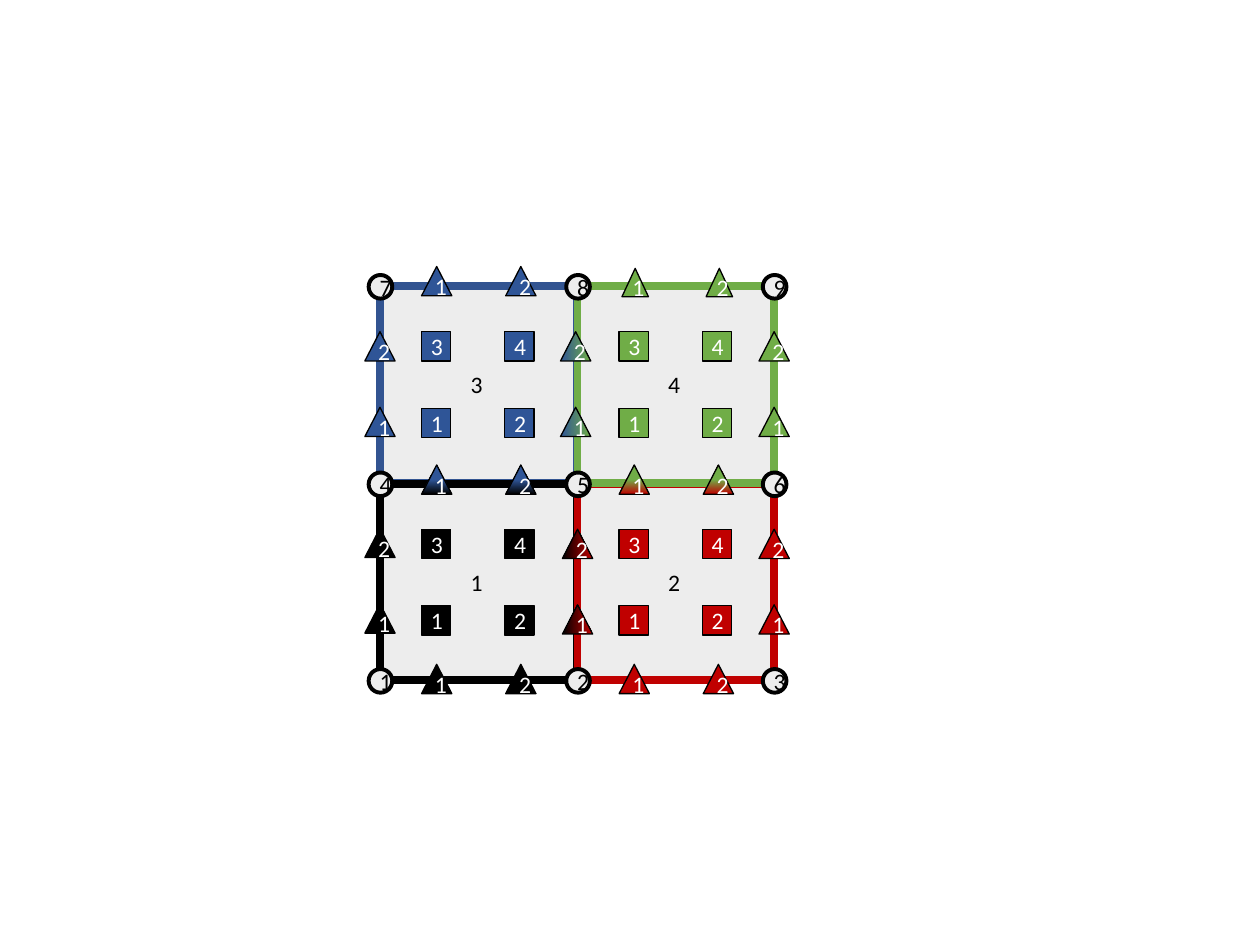
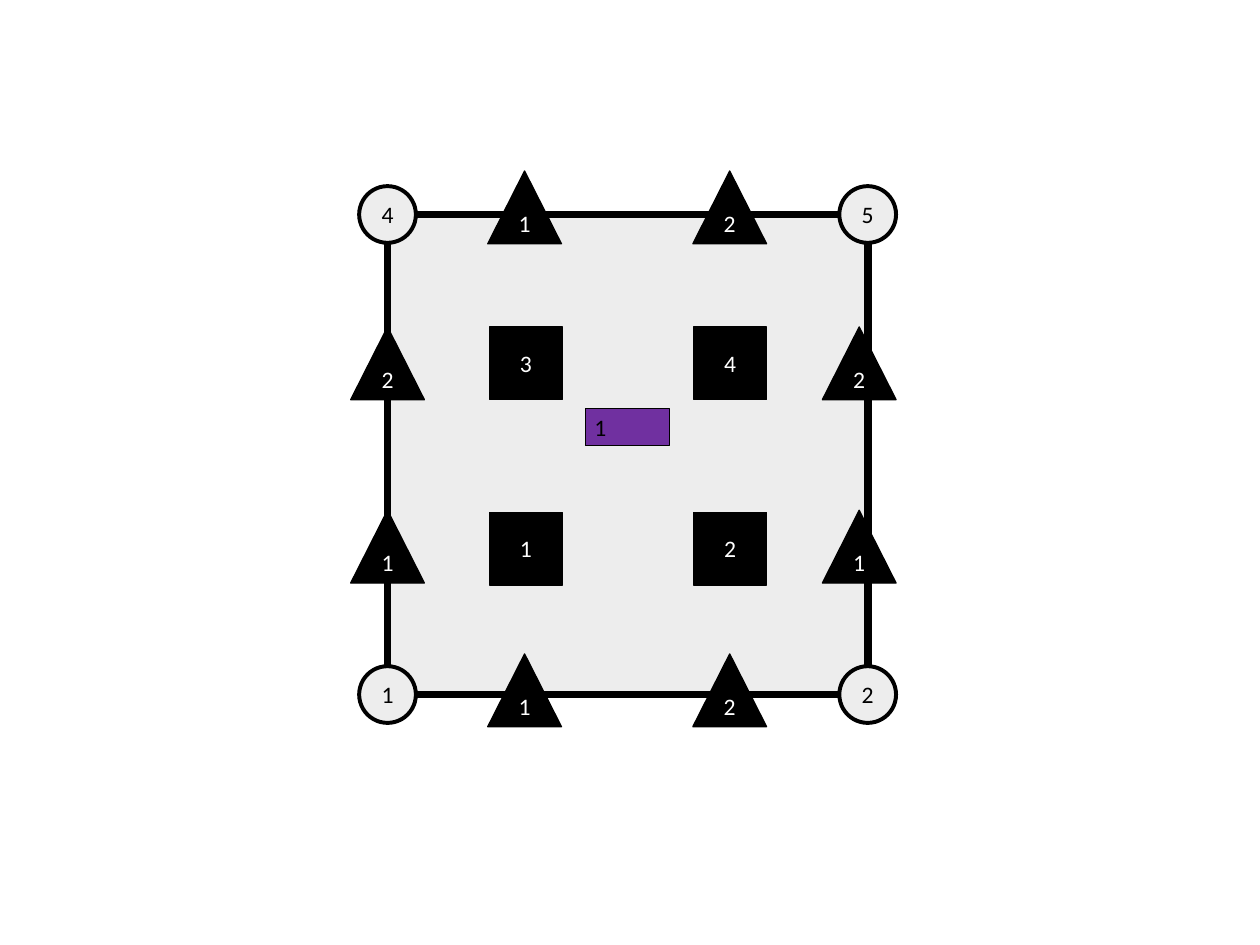
from pptx import Presentation
from pptx.util import Inches, Pt
from pptx.dml.color import RGBColor
from pptx.enum.shapes import MSO_SHAPE
from pptx.enum.text import MSO_ANCHOR, MSO_AUTO_SIZE, PP_ALIGN

COLORS = {"black": "000000", "white": "FFFFFF", "grey": "EDEDED",
          "blue": "2F5597", "blue_edge": "325491", "green": "70AD47",
          "red": "C00000", "purple": "7030A0"}
RGB = {name: RGBColor.from_string(value) for name, value in COLORS.items()}
FONT = {"name": "Calibri", "size": Pt(18)}
TRIANGLE_INSETS = {"margin_left": Inches(0.1), "margin_top": 0,
                   "margin_right": Inches(0.1), "margin_bottom": Inches(0.05)}


def write(sp, text, color, align):
    p = sp.text_frame.paragraphs[0]
    p.alignment = align
    r = p.add_run()
    r.text = str(text)
    for name, value in FONT.items():
        setattr(r.font, name, value)
    r.font.color.rgb = RGB[color]


def add_mark(shapes, kind, box, fill, text=None, color="white", line="black", width=1):
    """fill is a colour name, or (start, end, end position, angle)."""
    sp = shapes.add_shape(kind, *[Inches(v) for v in box])
    sp.shadow.inherit = False
    if isinstance(fill, tuple):
        start, end, position, angle = fill
        sp.fill.gradient()
        sp.fill.gradient_angle = angle
        for stop, name, pos in zip(sp.fill.gradient_stops, (start, end), (0, position)):
            stop.color.rgb = RGB[name]
            stop.position = pos
    else:
        sp.fill.solid()
        sp.fill.fore_color.rgb = RGB[fill]
    sp.line.color.rgb = RGB[line]
    sp.line.width = Pt(width)
    if text is not None:
        tf = sp.text_frame
        tf.vertical_anchor = MSO_ANCHOR.MIDDLE
        if kind == MSO_SHAPE.ISOSCELES_TRIANGLE:
            for name, value in TRIANGLE_INSETS.items():
                setattr(tf, name, value)
        write(sp, text, color, PP_ALIGN.CENTER)
    return sp


prs = Presentation()
prs.slide_width, prs.slide_height = Inches(13.33), Inches(10)
blank = prs.slide_layouts[6]
RECT, OVAL, TRIANGLE = MSO_SHAPE.RECTANGLE, MSO_SHAPE.OVAL, MSO_SHAPE.ISOSCELES_TRIANGLE

# Slide 1: mesh of four elements
s = prs.slides.add_slide(blank)
xs, ys, side = [4.02, 6.11, 8.19], [3.03, 5.12, 7.2], 2.08
elements = [  # number, column, row, edge colour, point colour
    (3, 0, 0, "blue_edge", "blue"), (1, 0, 1, "black", "black"),
    (2, 1, 1, "red", "red"), (4, 1, 0, "green", "green")]
for number, col, row, edge, fill in elements:
    add_mark(s.shapes, RECT, (xs[col], ys[row], side, side), "grey", line=edge, width=6)

# Corner nodes, numbered from the bottom left
for row, y in enumerate(ys):
    for col, x in enumerate(xs):
        add_mark(s.shapes, OVAL, (x - 0.12, y - 0.12, 0.25, 0.25), "grey",
                 3 * (2 - row) + col + 1, "black", width=3)

# Element numbers and inner points
for number, col, row, edge, fill in elements:
    x, y = xs[col], ys[row]
    sp = s.shapes.add_textbox(*[Inches(v) for v in (x + 0.86, y + 0.84, 0.37, 0.4)])
    sp.text_frame.word_wrap = True
    sp.text_frame.auto_size = MSO_AUTO_SIZE.SHAPE_TO_FIT_TEXT
    write(sp, number, "black", PP_ALIGN.LEFT)
    group = s.shapes.add_group_shape()
    for i in range(4):
        box = (x + (0.44, 1.32)[i % 2], y + (1.29, 0.48)[i // 2], 0.31, 0.31)
        add_mark(group.shapes, RECT, box, fill, i + 1)

# Points on horizontal edges: left of first, top, width, height, fill
for x, y, w, h, fill in [
        (4.46, 2.82, 0.32, 0.31, "blue"), (6.58, 2.84, 0.28, 0.3, "green"),
        (4.46, 4.92, 0.32, 0.31, ("black", "blue", 0.5, 90)),
        (6.55, 4.92, 0.32, 0.31, ("red", "green", 0.5, 90)),
        (4.46, 7.03, 0.32, 0.31, "black"), (6.55, 7.03, 0.32, 0.31, "red")]:
    for i in range(2):
        add_mark(s.shapes, TRIANGLE, (x + 0.89 * i, y, w, h), fill, i + 1)

# Points on vertical edges: left, top of first, fill
for x, y, fill in [
        (3.86, 4.31, "blue"), (5.93, 4.31, ("blue", "green", 1, 0)), (8.03, 4.31, "green"),
        (3.86, 6.39, "black"), (5.95, 6.4, ("black", "red", 1, 0)), (8.03, 6.4, "red")]:
    for i in range(2):
        add_mark(s.shapes, TRIANGLE, (x, y - 0.8 * i, 0.32, 0.31), fill, i + 1)

# Slide 2: element 1 enlarged
s = prs.slides.add_slide(blank)
x, y, side = 4.1, 2.27, 5.08
add_mark(s.shapes, RECT, (x, y, side, side), "grey", width=6)
for number, col, row in [(4, 0, 0), (1, 0, 1), (5, 1, 0), (2, 1, 1)]:
    box = (x - 0.3 + side * col, y - 0.3 + side * row, 0.6, 0.6)
    add_mark(s.shapes, OVAL, box, "grey", number, "black", width=3)

# Element number
sp = add_mark(s.shapes, RECT, (6.19, 4.32, 0.89, 0.4), "purple", width=0.75)
sp.text_frame.vertical_anchor = MSO_ANCHOR.TOP
sp.text_frame.auto_size = MSO_AUTO_SIZE.SHAPE_TO_FIT_TEXT
write(sp, 1, "black", PP_ALIGN.LEFT)

# Inner points
group = s.shapes.add_group_shape()
for i in range(4):
    box = (5.18 + 2.16 * (i % 2), 5.42 - 1.96 * (i // 2), 0.77, 0.77)
    add_mark(group.shapes, RECT, box, "black", i + 1)

# Edge points: first position and step to the second
for x, y, dx, dy in [(5.16, 6.92, 2.17, 0), (3.71, 5.4, 0, -1.94),
                     (8.7, 5.4, 0, -1.94), (5.16, 1.81, 2.17, 0)]:
    for i in range(2):
        add_mark(s.shapes, TRIANGLE, (x + dx * i, y + dy * i, 0.78, 0.77), "black", i + 1)

prs.save("out.pptx")
